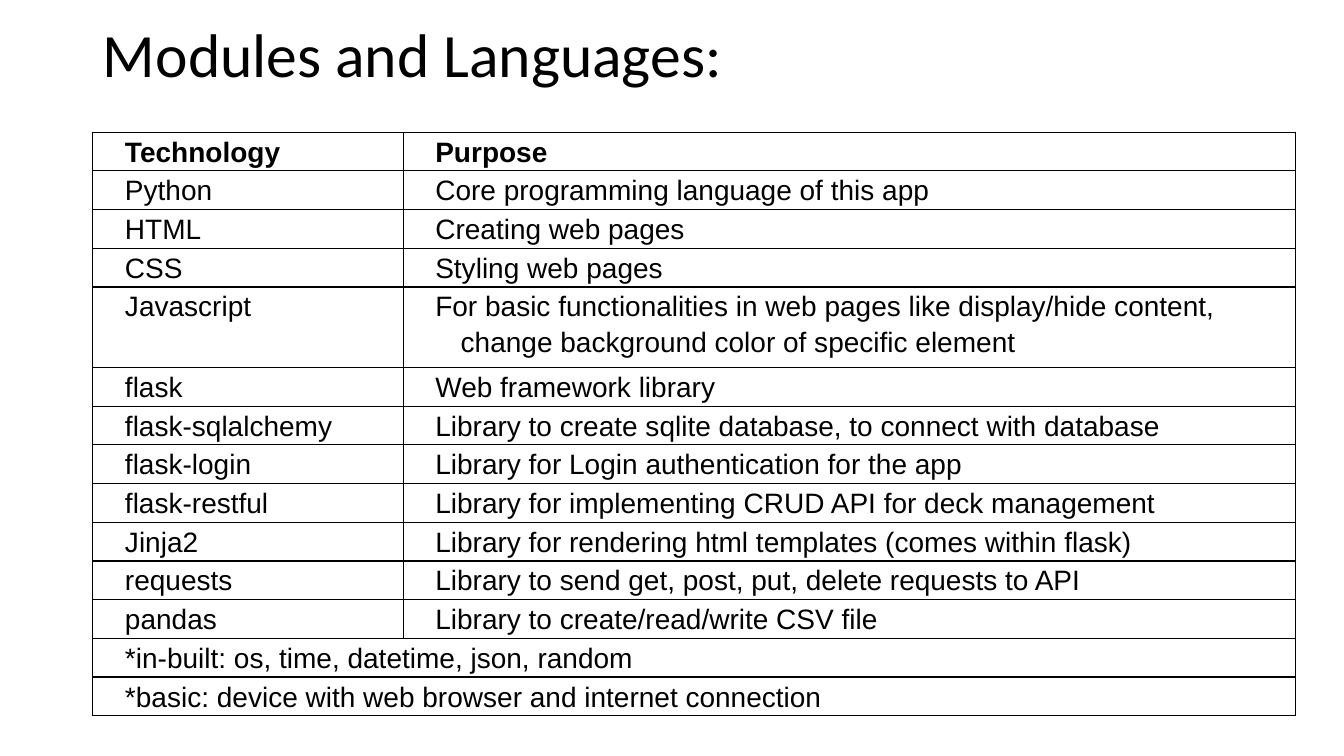
from lxml.etree import SubElement
from pptx import Presentation
from pptx.dml.color import RGBColor
from pptx.enum.text import MSO_ANCHOR, MSO_AUTO_SIZE, PP_ALIGN
from pptx.oxml.ns import qn
from pptx.util import Cm, Pt

TITLE = "Modules and Languages:"
HEADER = ("Technology", "Purpose")
TECHNOLOGIES = [
    ("Python", "Core programming language of this app"),
    ("HTML", "Creating web pages"),
    ("CSS", "Styling web pages"),
    ("Javascript", "For basic functionalities in web pages like display/hide content, "
                   "change background color of specific element"),
    ("flask", "Web framework library"),
    ("flask-sqlalchemy", "Library to create sqlite database, to connect with database"),
    ("flask-login", "Library for Login authentication for the app"),
    ("flask-restful", "Library for implementing CRUD API for deck management"),
    ("Jinja2", "Library for rendering html templates (comes within flask)"),
    ("requests", "Library to send get, post, put, delete requests to API"),
    ("pandas", "Library to create/read/write CSV file"),
]
FOOTNOTES = [
    ("*in-built: os, time, datetime, json, random",),
    ("*basic: device with web browser and internet connection",),
]
ROWS = [HEADER, *TECHNOLOGIES, *FOOTNOTES]

COLORS = {"text": "000000", "border": "000000"}
LEFT = Cm(2.34)
COLUMN_WIDTHS = (Cm(7.82), Cm(22.48))
TABLE_TOP, TABLE_HEIGHT = Cm(3.33), Cm(14.71)
TALL_ROW, TALL_HEIGHT = 4, Cm(2.03)
ROW_HEIGHT = (TABLE_HEIGHT - TALL_HEIGHT) // (len(ROWS) - 1)


def style_text(para, font_name, size, bold=False):
    for span in para.runs:
        span.font.name = font_name
        span.font.size = Pt(size)
        span.font.bold = bold
        span.font.color.rgb = RGBColor.from_string(COLORS["text"])


def add_title(page):
    title = page.shapes.title
    title.left, title.top, title.width, title.height = LEFT, Cm(0.36), Cm(29.21), Cm(2.16)
    frame = title.text_frame
    frame.text = TITLE
    frame.auto_size = MSO_AUTO_SIZE.NONE
    frame.vertical_anchor = MSO_ANCHOR.MIDDLE
    para = frame.paragraphs[0]
    para.alignment = PP_ALIGN.LEFT
    para.line_spacing = 0.9
    style_text(para, "Calibri", 44)


def frame_cell(cell):
    """Draw the four borders of a cell and leave it unfilled."""
    properties = cell._tc.get_or_add_tcPr()
    for side in ("a:lnL", "a:lnR", "a:lnT", "a:lnB"):
        line = SubElement(properties, qn(side), w=str(Pt(1)))
        fill = SubElement(line, qn("a:solidFill"))
        SubElement(fill, qn("a:srgbClr"), val=COLORS["border"])
    cell.fill.background()


def fill_cell(cell, text, bold):
    cell.text = text
    para = cell.text_frame.paragraphs[0]
    para.line_spacing = 1.15
    indents = para._p.get_or_add_pPr()
    indents.set("marL", str(Cm(1.27)))
    indents.set("indent", str(-Cm(0.64)))
    style_text(para, "Arial", 20, bold)


def add_technology_table(page):
    table = page.shapes.add_table(
        len(ROWS), len(COLUMN_WIDTHS), LEFT, TABLE_TOP, sum(COLUMN_WIDTHS), TABLE_HEIGHT
    ).table
    table.first_row = table.horz_banding = False
    for column, width in zip(table.columns, COLUMN_WIDTHS):
        column.width = width
    for index, texts in enumerate(ROWS):
        row = table.rows[index]
        row.height = TALL_HEIGHT if index == TALL_ROW else ROW_HEIGHT
        for cell in row.cells:
            cell.margin_left = cell.margin_right = Cm(0.18)
            cell.margin_top = cell.margin_bottom = 0
            frame_cell(cell)
        for cell, text in zip(row.cells, texts):
            fill_cell(cell, text, bold=texts is HEADER)
        if len(texts) == 1:
            table.cell(index, 0).merge(table.cell(index, 1))


def main():
    deck = Presentation()
    deck.slide_width, deck.slide_height = Cm(33.87), Cm(19.05)
    page = deck.slides.add_slide(deck.slide_layouts[5])
    add_title(page)
    add_technology_table(page)
    deck.save("out.pptx")


if __name__ == "__main__":
    main()
